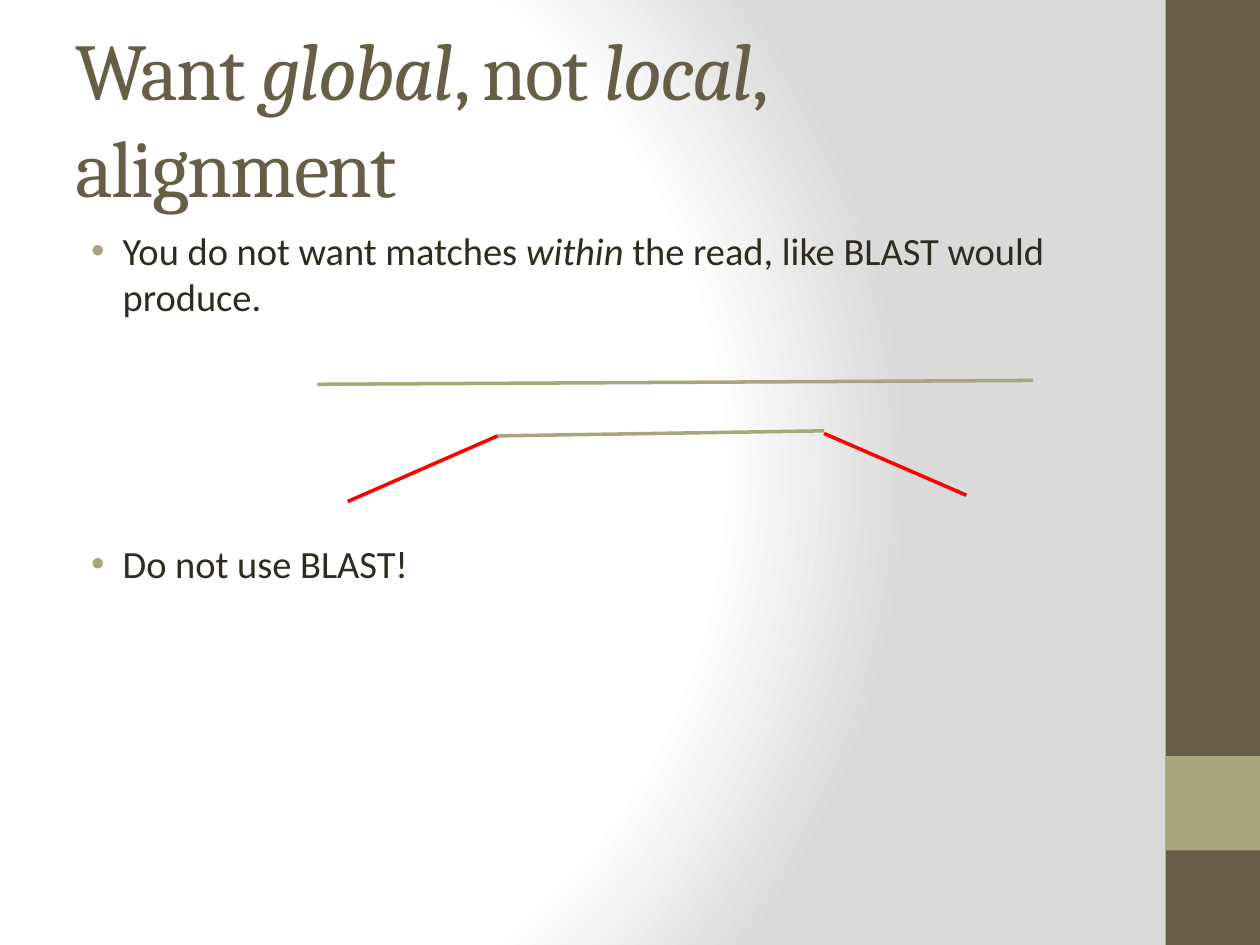
from lxml import etree
from pptx import Presentation
from pptx.dml.color import RGBColor
from pptx.enum.shapes import MSO_CONNECTOR, MSO_SHAPE
from pptx.enum.text import MSO_ANCHOR
from pptx.oxml.ns import qn
from pptx.util import Pt

STRAIGHT = MSO_CONNECTOR.STRAIGHT
RECTANGLE = MSO_SHAPE.RECTANGLE
TOP, MIDDLE = MSO_ANCHOR.TOP, MSO_ANCHOR.MIDDLE

COLORS = {
    "white": "FFFFFF",
    "grey": "DADADA",
    "brown": "675E47",
    "olive": "A9A57C",
    "ink": "2F2B20",
    "red": "FF0000",
}


def rgb(name):
    return RGBColor.from_string(COLORS[name])


def add_xml(parent, tag, **attributes):
    return etree.SubElement(parent, qn(tag), attributes)


def paint_background(slide):
    """Radial gradient, white around the left and grey at the right."""
    slide.background.fill.gradient()
    gradient = next(slide.element.iter(qn("a:gradFill")))
    for child in list(gradient):
        gradient.remove(child)
    stops = add_xml(gradient, "a:gsLst")
    for position, color in ((0, "white"), (75, "white"), (100, "grey")):
        stop = add_xml(stops, "a:gs", pos=str(position * 1000))
        add_xml(stop, "a:srgbClr", val=COLORS[color])
    circle = add_xml(gradient, "a:path", path="circle")
    add_xml(circle, "a:fillToRect", l="20000", t="50000", r="100000", b="50000")


def add_band(slide, left, top, width, height, color):
    band = slide.shapes.add_shape(RECTANGLE, Pt(left), Pt(top), Pt(width), Pt(height))
    band.shadow.inherit = False
    band.fill.solid()
    band.fill.fore_color.rgb = rgb(color)
    band.line.fill.background()


def add_line(slide, start, end, color):
    line = slide.shapes.add_connector(STRAIGHT, *map(Pt, start + end))
    line.line.color.rgb = rgb(color)
    line.line.width = Pt(2)
    add_xml(line.element.spPr, "a:effectLst")


def add_frame(slide, left, top, width, height, anchor):
    frame = slide.shapes.add_textbox(Pt(left), Pt(top), Pt(width), Pt(height)).text_frame
    frame.word_wrap = True
    frame.vertical_anchor = anchor
    return frame


def write(paragraph, text, font, size, color, spacing=0):
    """Add text to a paragraph; parts between asterisks are italic."""
    for index, part in enumerate(text.split("*")):
        run = paragraph.add_run()
        run.text = part
        run.font.name = font
        run.font.size = Pt(size)
        run.font.color.rgb = rgb(color)
        run.font.italic = index % 2 == 1
        if spacing:
            run.font._element.set("spc", str(spacing * 100))


def make_bullet(paragraph, space_before):
    paragraph.space_before = Pt(space_before)
    properties = paragraph._p.get_or_add_pPr()
    properties.set("marL", str(Pt(27)))
    properties.set("indent", str(Pt(-18)))
    color = add_xml(properties, "a:buClr")
    add_xml(color, "a:srgbClr", val=COLORS["olive"])
    add_xml(properties, "a:buFont", typeface="Arial")
    add_xml(properties, "a:buChar", char="•")


def main():
    prs = Presentation()
    prs.slide_width, prs.slide_height = Pt(720), Pt(540)
    slide = prs.slides.add_slide(prs.slide_layouts[6])
    paint_background(slide)

    # Side band with its accent square
    add_band(slide, 666, 0, 54, 540, "brown")
    add_band(slide, 666, 432, 54, 54, "olive")

    # Title
    title = add_frame(slide, 36, 21.6, 600, 90, MIDDLE)
    write(title.paragraphs[0], "Want *global*, not *local*, alignment",
          font="Cambria", size=46, color="brown", spacing=-1)

    # Bullets, with room for the alignment drawing between them
    body = add_frame(slide, 36, 126, 600, 378, TOP)
    advice = body.paragraphs[0]
    warning = body.add_paragraph()
    for paragraph, text, gap in (
        (advice, "You do not want matches *within* the read, like BLAST would produce.", 4.4),
        (warning, "Do not use BLAST!", 126.4),
    ):
        make_bullet(paragraph, gap)
        write(paragraph, text, font="Calibri", size=22, color="ink")

    # Reference, matching part of the read, and its two unaligned ends
    add_line(slide, (181.4, 219.6), (590.4, 217.4), "olive")
    add_line(slide, (284.4, 249.1), (470.9, 246.2), "olive")
    add_line(slide, (198.7, 286.6), (284.4, 249.1), "red")
    add_line(slide, (470.9, 247.7), (552.2, 283), "red")

    prs.save("out.pptx")


if __name__ == "__main__":
    main()
